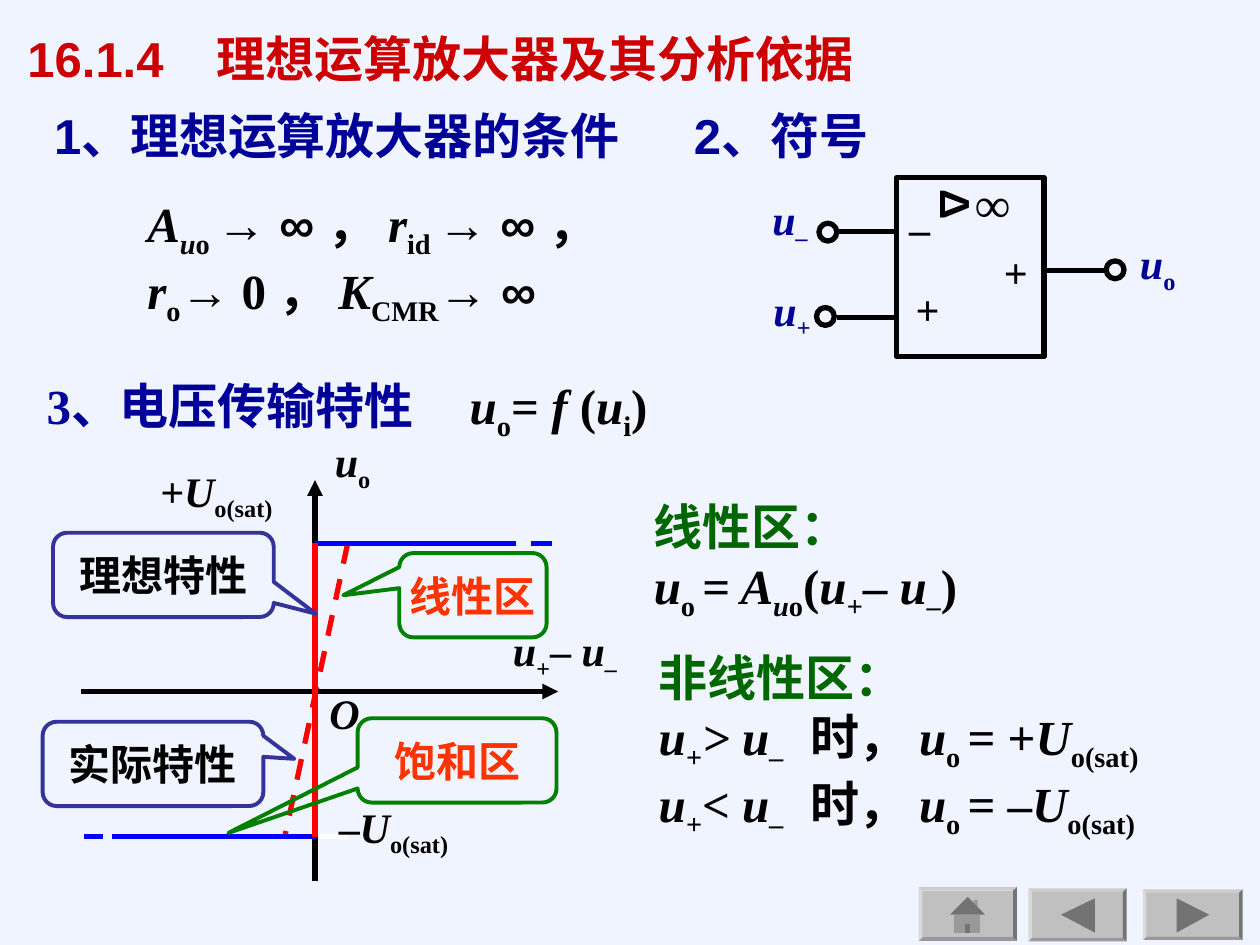
from pptx import Presentation
from pptx.dml.color import RGBColor
from pptx.enum.dml import MSO_LINE
from pptx.enum.shapes import MSO_CONNECTOR, MSO_SHAPE
from pptx.enum.text import MSO_ANCHOR, PP_ALIGN
from pptx.oxml.ns import qn
from pptx.util import Cm, Pt
from lxml import etree

STRAIGHT, DASH = MSO_CONNECTOR.STRAIGHT, MSO_LINE.DASH
RECT, OVAL, BEVEL = MSO_SHAPE.RECTANGLE, MSO_SHAPE.OVAL, MSO_SHAPE.BEVEL
CALLOUT = MSO_SHAPE.ROUNDED_RECTANGULAR_CALLOUT
LEFT, CENTER, MIDDLE = PP_ALIGN.LEFT, PP_ALIGN.CENTER, MSO_ANCHOR.MIDDLE

BACKGROUND = RGBColor(0xF0, 0xF4, 0xFF)
BLACK = RGBColor(0, 0, 0)
WHITE = RGBColor(0xFF, 0xFF, 0xFF)
CRIMSON = RGBColor(0xCC, 0, 0)
NAVY = RGBColor(0, 0, 0x99)
DARK_GREEN = RGBColor(0, 0x66, 0)
GREEN = RGBColor(0, 0x80, 0)
INDIGO = RGBColor(0x33, 0x33, 0x99)
ORANGE = RGBColor(0xFF, 0x33, 0)
BLUE = RGBColor(0, 0, 0xFF)
RED = RGBColor(0xFF, 0, 0)
SILVER = RGBColor(0xC0, 0xC0, 0xC0)
GRAY = RGBColor(0x73, 0x73, 0x73)
MID_GRAY = RGBColor(0x99, 0x99, 0x99)

# A run is (text, style): i italic, s subscript, a Arial, n navy, g dark green
UO = [("u", "i"), ("o", "s")]
U_PLUS = [("u", "i"), ("+", "is")]
U_MINUS = [("u", "i"), ("–", "is")]
U_SAT = [("U", "i"), ("o(sat)", "s")]
DIFFERENCE = U_PLUS + [("– ", "")] + U_MINUS


def saturation_case(relation, sign):
    return (U_PLUS + [(relation + " ", "i")] + U_MINUS + [("\t时， ", "")]
            + UO + [(" ", "s"), ("= " + sign, "")] + U_SAT)


TITLE = [("16.1.4\t理想运算放大器及其分析依据", "a")]
CONDITIONS = [
    [("A", "i"), ("u", "is"), ("o ", "s"), ("→ ∞ ", "a"), ("， ", ""),
     ("r", "i"), ("id ", "s"), ("→ ∞ ", "a"), ("，", "")],
    [("r", "i"), ("o", "s"), ("→", "a"), (" 0 ， ", ""),
     ("K", "i"), ("CMR", "s"), ("→ ∞", "a")],
]
TRANSFER = [("3、电压传输特性\t", "n")] + UO + [
    ("= ", ""), ("f ", "i"), ("(", ""), ("u", "i"), ("i", "s"), (")", "")]
LINEAR = [[("线性区：", "g")],
          UO + [(" ", "s"), ("=", ""), (" A", "i"), ("u", "is"), ("o", "s"), ("(", "")]
          + DIFFERENCE + [(")", "")]]
NONLINEAR = [[("非线性区：", "g")], saturation_case(">", "+"), saturation_case("<", "–")]

# place in cm, paragraphs, size, colour, tab stop in cm
TEXTS = [
    ((0.84, 2.01, 12.98, 1.47), [[("1、理想运算放大器的条件", "a")]], 28, NAVY, None),
    ((13.74, 2.01, 4.75, 1.47), [[("2、符号", "a")]], 28, NAVY, None),
    ((2.72, 3.78, 10.41, 2.95), CONDITIONS, 28, BLACK, None),
    ((0.69, 7.44, 12.65, 1.6), [TRANSFER], 28, BLACK, 8.53),
    ((12.93, 9.88, 9.32, 2.79), LINEAR, 28, BLACK, None),
    ((13.03, 12.93, 11.5, 4.14), NONLINEAR, 28, BLACK, 3.05),
    # amplifier symbol
    ((18.21, 5.59, 1.14, 1.27), [[("+", "")]], 24, BLACK, None),
    ((19.99, 4.85, 0.9, 1.27), [[("+", "")]], 24, BLACK, None),
    ((18.08, 3.96, 1.14, 1.27), [[("–", "")]], 24, BLACK, None),
    ((19.41, 3.38, 2.29, 1.45), [[("∞", "")]], 28, BLACK, None),
    ((22.73, 4.67, 1.7, 1.42), [UO], 24, NAVY, None),
    ((15.32, 3.78, 1.7, 1.42), [U_MINUS], 24, NAVY, None),
    ((15.34, 5.61, 1.7, 1.42), [U_PLUS], 24, NAVY, None),
    # transfer curve
    ((2.98, 9.25, 3.81, 1.42), [[("+", "i")] + U_SAT], 24, BLACK, None),
    ((10.09, 12.47, 4, 1.42), [DIFFERENCE], 24, BLACK, None),
    ((6.5, 8.66, 2.39, 1.42), [UO], 24, BLACK, None),
    ((6.58, 16.03, 3.38, 1.42), [[("–", "")] + U_SAT], 24, BLACK, None),
    ((6.39, 13.74, 1.4, 1.27), [[("O", "i")]], 24, BLACK, None),
]
GAIN_MARK = ((18.72, 3.51, 1.14, 1.27), [[("Δ", "a")]], 24, BLACK, None)

AMPLIFIER = (18.08, 3.58, 2.97, 3.61)
TERMINALS = [(22.3, 5.26), (16.51, 4.5), (16.46, 6.2)]
TERMINAL_SIZE = 0.36
ORIGIN_X, ORIGIN_Y, TOP, BOTTOM = 6.35, 13.94, 10.95, 16.87
# x1, y1, x2, y2, colour, dashed, arrow
LINES = [
    (16.87, 6.4, 18.08, 6.4, BLACK, False, False),
    (16.87, 4.67, 18.11, 4.67, BLACK, False, False),
    (21.03, 5.46, 22.3, 5.46, BLACK, False, False),
    (5.79, BOTTOM, 1.7, BOTTOM, BLUE, True, False),
    (11.13, TOP, 7.06, TOP, BLUE, True, False),
    (7.01, TOP, 5.74, BOTTOM, RED, True, False),
    (6.38, BOTTOM, 7.01, BOTTOM, WHITE, False, False),
    (1.63, ORIGIN_Y, 11.25, ORIGIN_Y, BLACK, False, True),
    (ORIGIN_X, 17.75, ORIGIN_X, 9.68, BLACK, False, True),
    (ORIGIN_X, BOTTOM, 2.26, BOTTOM, BLUE, False, False),
    (10.41, TOP, ORIGIN_X, TOP, BLUE, False, False),
    (ORIGIN_X, TOP, ORIGIN_X, BOTTOM, RED, False, False),
]
CALLOUTS = [
    ("线性区", (8.05, 11.15, 2.97, 1.7), (-0.88, 0), GREEN, ORANGE),
    ("理想特性", (1.07, 10.74, 4.45, 1.7), (0.69, 0.46), INDIGO, BLACK),
    ("实际特性", (0.86, 14.55, 4.45, 1.7), (0.64, -0.06), INDIGO, BLACK),
    ("饱和区", (7.21, 14.48, 4.01, 1.7), (-1.15, 0.86), GREEN, ORANGE),
]
# button place, then its icon outlines
BUTTONS = [
    ((18.52, 17.88, 1.98, 1.09), [
        (MID_GRAY, [(19.23, 18.44), (19.76, 18.44), (19.76, 18.8), (19.23, 18.8)]),
        (MID_GRAY, [(19.63, 18.14), (19.71, 18.14), (19.71, 18.31), (19.63, 18.23)]),
        (GRAY, [(19.51, 18.08), (19.86, 18.44), (19.15, 18.44)]),
        (GRAY, [(19.46, 18.62), (19.56, 18.62), (19.56, 18.8), (19.46, 18.8)])]),
    ((20.73, 17.91, 1.98, 1.07),
     [(GRAY, [(21.39, 18.44), (22.07, 18.11), (22.07, 18.8)])]),
    ((23.04, 17.93, 2.01, 1.02),
     [(GRAY, [(23.72, 18.11), (24.38, 18.44), (23.72, 18.8)])]),
]


def cm(values):
    return [Cm(value) for value in values]


def write(frame, paragraphs, size, color, tab=None, align=LEFT):
    frame.word_wrap = True
    for number, runs in enumerate(paragraphs):
        paragraph = frame.add_paragraph() if number else frame.paragraphs[0]
        paragraph.alignment = align
        if tab:
            stops = etree.SubElement(paragraph._p.get_or_add_pPr(), qn("a:tabLst"))
            etree.SubElement(stops, qn("a:tab"), pos=str(Cm(tab)), algn="l")
        for text, style in runs:
            run = paragraph.add_run()
            run.text = text
            formats = {"size": Pt(size), "bold": True, "italic": "i" in style,
                       "name": "Arial" if "a" in style else "Times New Roman"}
            for key, value in formats.items():
                setattr(run.font, key, value)
            run.font.color.rgb = NAVY if "n" in style else DARK_GREEN if "g" in style else color
            if "s" in style:
                run._r.get_or_add_rPr().set("baseline", "-25000")


def add_text(shapes, place, paragraphs, size, color, tab):
    box = shapes.add_textbox(*cm(place))
    write(box.text_frame, paragraphs, size, color, tab)
    return box


def add_outline(shapes, kind, place, color, width):
    shape = shapes.add_shape(kind, *cm(place))
    shape.shadow.inherit = False
    shape.fill.background()
    shape.line.color.rgb = color
    shape.line.width = Pt(width)
    return shape


def add_line(shapes, x1, y1, x2, y2, color, dashed, arrow):
    line = shapes.add_connector(STRAIGHT, *cm((x1, y1, x2, y2)))
    line.line.color.rgb = color
    line.line.width = Pt(3)
    if dashed:
        line.line.dash_style = DASH
    if arrow:
        etree.SubElement(line.line._get_or_add_ln(), qn("a:tailEnd"), type="triangle")
    etree.SubElement(line._element.spPr, qn("a:effectLst"))


def fill_plain(shape, color):
    shape.shadow.inherit = False
    shape.fill.solid()
    shape.fill.fore_color.rgb = color
    shape.line.fill.background()


def add_button(shapes, place, icon):
    button = shapes.add_shape(BEVEL, *cm(place))
    button.adjustments[0] = 0.07
    fill_plain(button, SILVER)
    for color, points in icon:
        start, *rest = [cm(point) for point in points]
        outline = shapes.build_freeform(*start)
        outline.add_line_segments(rest, close=True)
        fill_plain(outline.convert_to_shape(), color)


def main():
    deck = Presentation()
    deck.slide_width, deck.slide_height = Cm(25.4), Cm(19.05)
    slide = deck.slides.add_slide(deck.slide_layouts[5])
    slide.background.fill.solid()
    slide.background.fill.fore_color.rgb = BACKGROUND
    shapes = slide.shapes

    title = shapes.title
    title.left, title.top, title.width, title.height = cm((0.3, 0.41, 17.17, 1.52))
    title.text_frame.vertical_anchor = MIDDLE
    write(title.text_frame, [TITLE], 28, CRIMSON, 3.82)

    for place, icon in BUTTONS:
        add_button(shapes, place, icon)
    add_outline(shapes, RECT, AMPLIFIER, BLACK, 3)
    for line in LINES:
        add_line(shapes, *line)
    for x, y in TERMINALS:
        add_outline(shapes, OVAL, (x, y, TERMINAL_SIZE, TERMINAL_SIZE), BLACK, 3)
    for text in TEXTS:
        add_text(shapes, *text)
    add_text(shapes, *GAIN_MARK).rotation = 90
    for label, place, (tip_x, tip_y), edge, color in CALLOUTS:
        callout = add_outline(shapes, CALLOUT, place, edge, 2.25)
        callout.adjustments[0], callout.adjustments[1] = tip_x, tip_y
        callout.text_frame.vertical_anchor = MIDDLE
        write(callout.text_frame, [[(label, "")]], 24, color, align=CENTER)
        callout.text_frame.margin_left = callout.text_frame.margin_right = 0

    deck.save("out.pptx")


if __name__ == "__main__":
    main()
